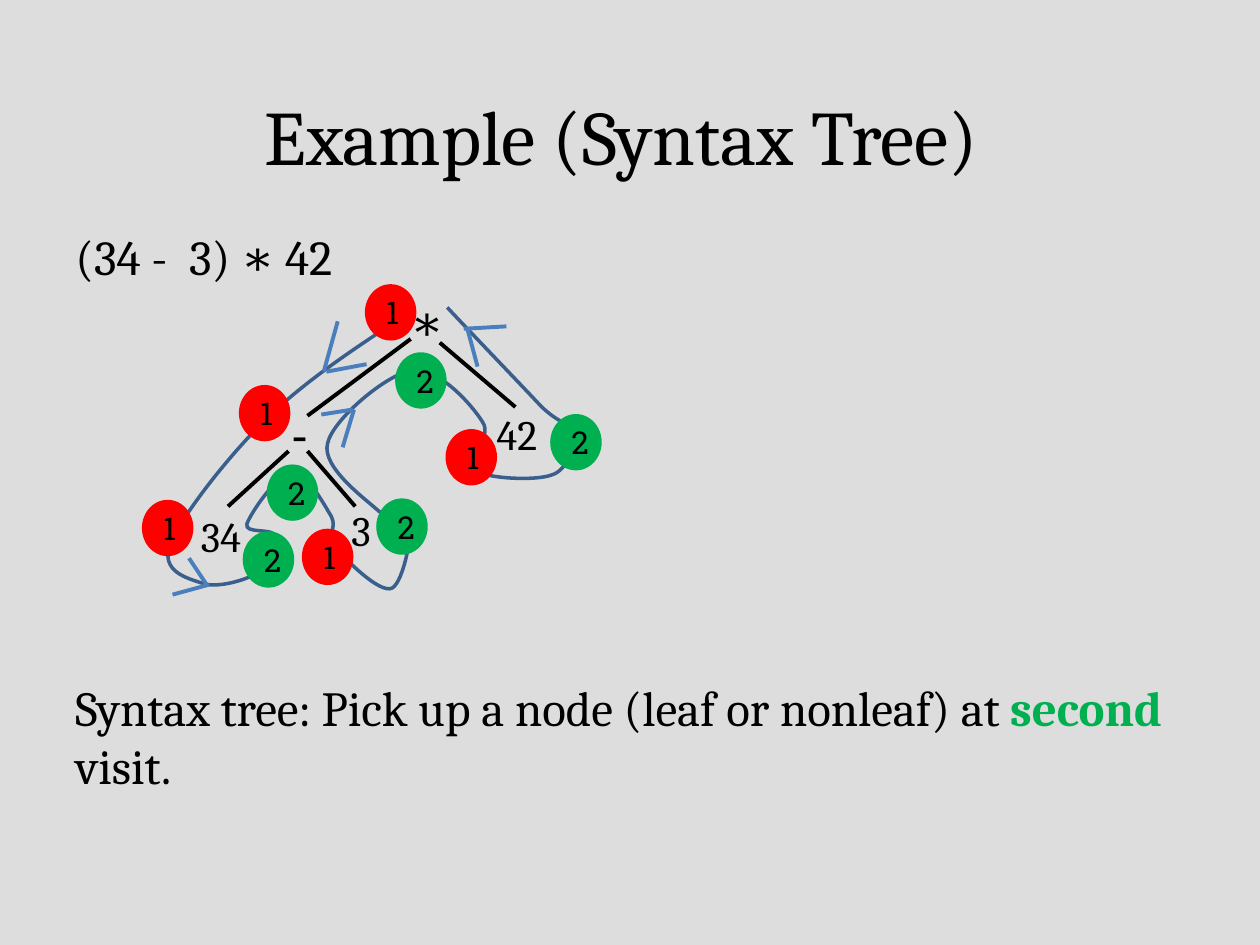
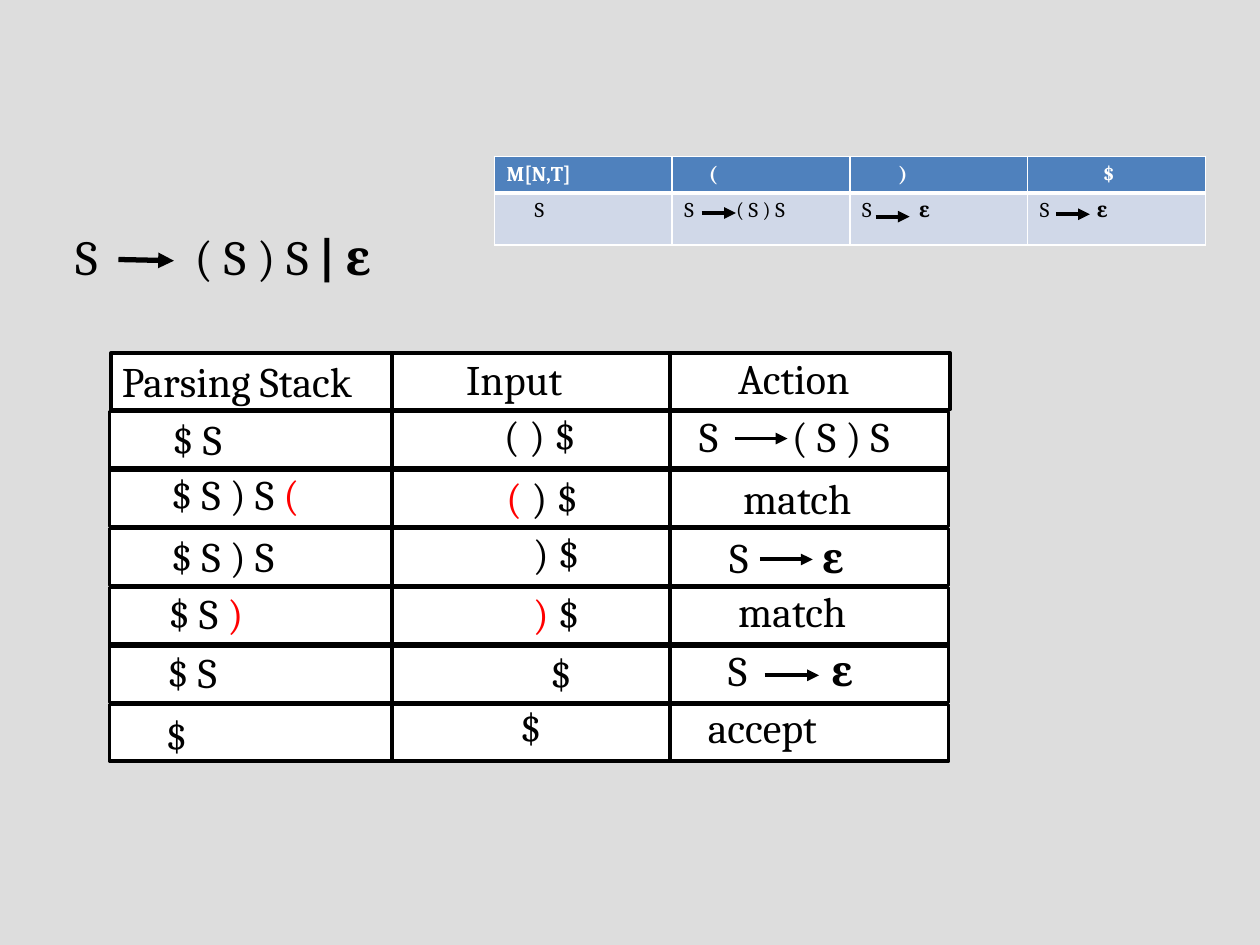
from lxml.etree import SubElement
from pptx import Presentation
from pptx.dml.color import RGBColor
from pptx.enum.shapes import MSO_CONNECTOR as Connector, MSO_SHAPE as Preset
from pptx.enum.text import MSO_ANCHOR as Anchor, PP_ALIGN as Align
from pptx.oxml import parse_xml
from pptx.oxml.ns import nsdecls, qn
from pptx.util import Pt

BLACK, WHITE, RED, GREEN = "000000", "FFFFFF", "FF0000", "00B050"
BACKDROP, HEADER_BLUE, BODY_BLUE = "DDDDDD", "4F81BD", "D0D8E8"
PATH_BLUE, HEAD_BLUE = "3A5F8C", "4B7EBC"
SERIF, SLAB = "Cambria", "Roboto Slab"
TITLE = {"name": SERIF, "size": Pt(44), "bold": False}
BODY = {"name": SERIF, "size": Pt(28), "bold": False}
TRACE = {"name": SERIF, "size": Pt(24), "bold": False}
SMALL = {"name": SERIF, "size": Pt(12), "bold": False}
VISIT = {"name": SLAB, "size": Pt(18), "bold": False}
MINUS = {**BODY, "name": SLAB}
BOLD = {"bold": True}
NO_INSETS = dict.fromkeys(("margin_left", "margin_right", "margin_top", "margin_bottom"), 0)
BODY_BOX = (36, 126, 648, 384)

EXPRESSION_TREE = [
    ((121.7, 239.8, 92.9, 19.4), 6.8, 2.4, "-", MINUS),
    ((249.8, 232.6, 84.2, 31), 7.2, 0, "42", TRACE),
    ((76.3, 287.3, 79.9, 37.4), 20, 0, "34", TRACE),
    ((154.1, 283.7, 82.8, 38.2), 21.6, 0, "3", TRACE),
    ((193.7, 175.7, 92.9, 19.4), 7.8, 3.4, "∗", BODY),
]
BRANCHES = [
    (234.7, 193.7, 175.7, 237.6), (251.3, 195.8, 294.5, 232.6),
    (164.9, 257.8, 130.3, 289.4), (175.7, 257.8, 203, 289.4),
]
WALK_HEADS = [
    (98.6, 339.8, 119.5, 334.1), (118.1, 334.1, 108, 319),
    (195.8, 255.6, 202.3, 234), (201.6, 234, 183.6, 236.9),
    (193, 183.6, 185, 212.4), (186.5, 212.4, 209.5, 208.1),
    (289.4, 186.5, 265, 187.9), (267.1, 187.9, 272.9, 209.5),
]
VISITS = [
    (209.5, 163.4, 1), (226.8, 202.3, 2), (137.5, 221, 1), (82.1, 286.6, 1),
    (153.4, 266.4, 2), (139.7, 304.6, 2), (173.5, 303.1, 1), (255.6, 246.2, 1),
    (216, 285.8, 2), (315.4, 237.6, 2),
]
WALK = [
    (236.2, 177.1),
    (206.6, 196.6), (176.4, 216), (153.4, 238.3),
    (130.3, 260.6), (103.7, 295.2), (97.2, 311),
    (91.4, 326.9), (107.3, 330.5), (115.9, 333.4),
    (123.8, 336.2), (139.7, 331.9), (146.9, 327.6),
    (153.4, 323.3), (157.7, 311), (157, 306),
    (155.5, 301.7), (139.7, 305.3), (141.1, 299.5),
    (143.3, 293), (159.1, 270), (167, 270),
    (175, 269.3), (185, 288), (189.4, 295.2),
    (193, 302.4), (185.8, 306), (191.5, 312.5),
    (197.3, 319.7), (216.7, 339.1), (223.9, 336.2),
    (231.1, 332.6), (236.2, 301.7), (234.7, 294.5),
    (234, 287.3), (224.6, 298.8), (216.7, 292.3),
    (208.8, 285.1), (183.6, 267.1), (187.2, 253.4),
    (190.1, 239.8), (221, 213.8), (235.4, 211.7),
    (250.6, 209.5), (270, 231.8), (275.8, 241.2),
    (282.2, 250.6), (264.2, 263.5), (270.7, 268.6),
    (277.9, 273.6), (306, 275), (315.4, 271.4),
    (324.7, 268.6), (328.3, 254.2), (327.6, 247.7),
    (326.9, 241.2), (321.8, 244.1), (309.6, 232.6),
    (298.1, 220.3), (264.2, 185), (255.6, 175.7),
]

EPSILON = ("ɛ", BLACK, BOLD)
TRACE_TOP, TRACE_PITCH, TRACE_BOTTOM = 201.6, 33.5, 434.9
TRACE_DIVIDERS = (223.9, 383)
TRACE_ROWS = [
    [(62.6, 199.4, 153.4, ["Parsing Stack"]), (259.2, 198.7, 71.3, ["Input"]),
     (414.7, 198, 81.4, ["Action"])],
    [(91.4, 232.6, 43.9, ["$ S"]), (280.8, 230.4, 56.2, ["( ) $"]),
     (392.4, 231.1, 127.4, ["S\t( S ) S"], 53)],
    [(90.7, 264.2, 90.7, ["$ S ) S ", ("(", RED)]),
     (282.2, 265.7, 56.2, [("(", RED), " ) $"]), (417.6, 266.4, 78.5, ["match"])],
    [(90.7, 299.5, 91.4, ["$ S ) S"]), (297.4, 298.1, 41, [") $"]),
     (409.7, 300.2, 87, ["S\t", EPSILON], 53)],
    [(89.3, 331.9, 58.3, ["$ S ", (")", RED)]), (297.4, 331.9, 41, [(")", RED), " $"]),
     (414.7, 331.2, 78.5, ["match"])],
    [(88.6, 365.8, 43.9, ["$ S"]), (307.4, 366.5, 26.6, ["$"]),
     (409, 365, 92, ["S\t", EPSILON], 59)],
    [(87.8, 401.8, 26.6, ["$"]), (290.2, 397.4, 26.6, ["$"]), (397.4, 397.4, 81.4, ["accept"])],
]
PARSE_ROWS = [
    [(left, [(label, WHITE, BOLD)])
     for left, label in ((7, "M[N,T]"), (21, "("), (28, ")"), (43, "$"))],
    [(23, ["S"]), (7, ["S\t( S ) S"], 29.5),
     (7, ["S\t", EPSILON], 32.5), (7, ["S\t", EPSILON], 32.5)],
]
DERIVATION_ARROWS = [
    (67.7, 148.3, 99.4, 149, 3),
    (419.8, 250.6, 450, 250.6, 2.25), (434.2, 319.7, 464.4, 319.7, 2.25),
    (437, 385.9, 468, 385.9, 2.25), (401, 121.7, 420.5, 121.7, 2.25),
    (500.4, 123.8, 519.8, 123.8, 2.25), (603.4, 122.4, 622.8, 122.4, 2.25),
]


def rgb(color):
    return RGBColor.from_string(color)


def apply(target, values):
    for key, value in values.items():
        setattr(target, key, value)


def write(paragraph, runs, style, align=Align.LEFT, tab=None):
    paragraph.alignment = align
    if tab:
        stops = SubElement(paragraph._p.get_or_add_pPr(), qn("a:tabLst"))
        SubElement(stops, qn("a:tab"), pos=str(Pt(tab)), algn="l")
    for part in runs:
        text, color, extra, *_ = (*([part] if isinstance(part, str) else part), BLACK, {})[
            :3] if isinstance(part, str) else (*part, {})
        run = paragraph.add_run()
        run.text = text
        apply(run.font, {**style, **extra})
        run.font.color.rgb = rgb(color)


def add_text(slide, box, runs, style, wrap=True, tab=None):
    frame = slide.shapes.add_textbox(*map(Pt, box)).text_frame
    frame.word_wrap = wrap
    write(frame.paragraphs[0], runs, style, tab=tab)
    return frame


def paint(shape, fill=None, outline=None):
    shape.shadow.inherit = False
    if fill:
        shape.fill.solid()
        shape.fill.fore_color.rgb = rgb(fill)
    else:
        shape.fill.background()
    if outline:
        shape.line.color.rgb = rgb(outline)
        shape.line.width = Pt(2)
    else:
        shape.line.fill.background()


def add_node(slide, box, indent, lift, symbol, style):
    left, top, width, height = map(Pt, box)
    right, bottom = left + width, top + height
    outline = slide.shapes.build_freeform(left, top)
    outline.add_line_segments([(right, top), (right, bottom), (left, bottom)])
    node = outline.convert_to_shape()
    paint(node)
    apply(node.text_frame, {**NO_INSETS, "margin_left": Pt(indent), "margin_bottom": Pt(lift),
                            "vertical_anchor": Anchor.MIDDLE})
    write(node.text_frame.paragraphs[0], [symbol], style, Align.CENTER)


def add_line(slide, ends, color, width=2.25, arrow=False):
    line = slide.shapes.add_connector(Connector.STRAIGHT, *map(Pt, ends))
    line.line.color.rgb = rgb(color)
    line.line.width = Pt(width)
    if arrow:
        SubElement(line.line._get_or_add_ln(), qn("a:tailEnd"), type="triangle")
    SubElement(line._element.spPr, qn("a:effectLst"))


def add_visit(slide, left, top, count):
    color = RED if count == 1 else GREEN
    badge = slide.shapes.add_shape(Preset.OVAL, Pt(left), Pt(top), Pt(27.4), Pt(30.2))
    paint(badge, color, color)
    badge.text_frame.vertical_anchor = Anchor.MIDDLE
    write(badge.text_frame.paragraphs[0], [str(count)], VISIT, Align.CENTER)


def add_walk(slide, points):
    stops = [tuple(map(Pt, point)) for point in points[::3]]
    outline = slide.shapes.build_freeform(*stops[0])
    outline.add_line_segments(stops[1:], close=False)
    walk = outline.convert_to_shape()
    paint(walk, outline=PATH_BLUE)
    for index, segment in enumerate(list(walk._element.iter(qn("a:lnTo")))):
        segment.tag = qn("a:cubicBezTo")
        for place, (x, y) in enumerate(points[3 * index + 1:3 * index + 3]):
            segment.insert(place, segment.makeelement(
                qn("a:pt"), x=str(Pt(x) - walk.left), y=str(Pt(y) - walk.top)))


def add_borders(cell, color, widths):
    properties = cell._tc.get_or_add_tcPr()
    for index, (side, width) in enumerate(zip("LRTB", widths)):
        properties.insert(index, parse_xml(
            f'<a:ln{side} {nsdecls("a")} w="{Pt(width)}"><a:solidFill>'
            f'<a:srgbClr val="{color}"/></a:solidFill></a:ln{side}>'))


def add_parse_table(slide, left, top, width, heights):
    count = len(PARSE_ROWS[0])
    table = slide.shapes.add_table(len(heights), count, Pt(left), Pt(top),
                                   Pt(width * count), Pt(sum(heights))).table
    apply(table, {"horz_banding": False})
    for column in table.columns:
        column.width = Pt(width)
    looks = [(HEADER_BLUE, Anchor.MIDDLE, 0, (1, 1, 1, 3)),
             (BODY_BLUE, Anchor.TOP, 3.3, (1, 1, 3, 1))]
    for row, height, entries, look in zip(table.rows, heights, PARSE_ROWS, looks):
        fill, anchor, inset, edges = look
        row.height = Pt(height)
        for cell, (indent, runs, *tab) in zip(row.cells, entries):
            apply(cell, {**NO_INSETS, "margin_left": Pt(indent), "margin_top": Pt(inset),
                         "vertical_anchor": anchor})
            cell.fill.solid()
            cell.fill.fore_color.rgb = rgb(fill)
            add_borders(cell, WHITE, edges)
            write(cell.text_frame.paragraphs[0], runs, SMALL, tab=tab[0] if tab else None)


def add_trace_bands(slide):
    for index in range(len(TRACE_ROWS)):
        top = TRACE_TOP + index * TRACE_PITCH
        band = slide.shapes.add_shape(Preset.RECTANGLE, Pt(62.6 if index else 63.4), Pt(top),
                                      Pt(479.5), Pt(32.4))
        paint(band, WHITE, BLACK)
        for x in TRACE_DIVIDERS:
            ends = (x, max(top - 1, TRACE_TOP), x, min(top + 35, TRACE_BOTTOM))
            add_line(slide, ends, BLACK)


def add_slide(deck, layout, title=None):
    slide = deck.slides.add_slide(deck.slide_layouts[layout])
    slide.background.fill.solid()
    slide.background.fill.fore_color.rgb = rgb(BACKDROP)
    if title:
        heading = slide.shapes.title
        apply(heading, {"left": Pt(36), "top": Pt(42), "width": Pt(648), "height": Pt(70)})
        heading.text_frame.vertical_anchor = Anchor.MIDDLE
        write(heading.text_frame.paragraphs[0], [title], TITLE, Align.CENTER)
    return slide


def build_syntax_tree(deck):
    slide = add_slide(deck, 5, "Example (Syntax Tree) ")
    body = add_text(slide, BODY_BOX, ["(34 -  3) ∗ 42"], BODY)
    rule = body.add_paragraph()
    rule.space_before = Pt(223.7)
    write(rule, ["Syntax tree: Pick up a node (leaf or nonleaf) at ",
                 ("second ", GREEN, BOLD), "visit."], BODY)
    for node in EXPRESSION_TREE:
        add_node(slide, *node)
    for branch in BRANCHES:
        add_line(slide, branch, BLACK)
    add_walk(slide, WALK)
    for visit in VISITS:
        add_visit(slide, *visit)
    for stroke in WALK_HEADS:
        add_line(slide, stroke, HEAD_BLUE)


def build_parse_trace(deck):
    slide = add_slide(deck, 6)
    add_text(slide, BODY_BOX, ["S\t( S ) S ", ("| ɛ", BLACK, BOLD)], BODY, tab=68)
    add_trace_bands(slide)
    for row in TRACE_ROWS:
        for left, top, width, runs, *tab in row:
            add_text(slide, (left, top, width, 36), runs, TRACE, bool(tab),
                     tab[0] if tab else None)
    add_parse_table(slide, 282.5, 89.3, 101.6, [21.1, 29.7])
    for *ends, width in DERIVATION_ARROWS:
        add_line(slide, ends, BLACK, width, arrow=True)


def main():
    deck = Presentation()
    apply(deck, {"slide_width": Pt(720), "slide_height": Pt(540)})
    build_syntax_tree(deck)
    build_parse_trace(deck)
    deck.save("out.pptx")


if __name__ == "__main__":
    main()
